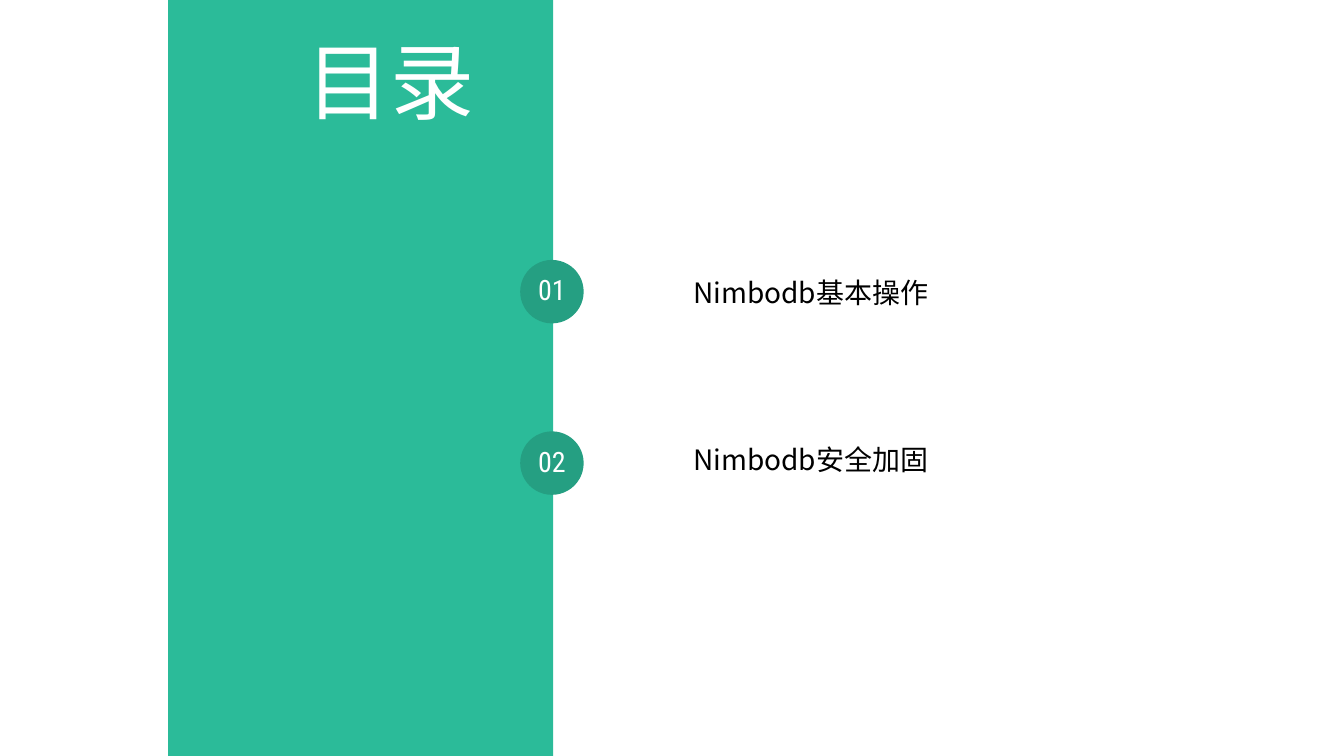
from lxml.etree import SubElement
from pptx import Presentation
from pptx.dml.color import RGBColor
from pptx.enum.shapes import MSO_SHAPE
from pptx.enum.text import MSO_ANCHOR, PP_ALIGN
from pptx.oxml.ns import qn
from pptx.util import Cm, Pt


def color(value):
    return RGBColor.from_string(value)


class SlideBuilder:
    """Draws styled elements on the current slide."""

    GREEN = "2BBB99"
    DARK_GREEN = "259F82"
    WHITE = "FFFFFF"
    BLACK = "000000"
    NUMBER_FONT = "Roboto Condensed"
    CHINESE_FONT = "Noto Sans CJK SC"

    def __init__(self, slide):
        self.slide = slide

    def shape(self, kind, left, top, width, height, fill):
        shape = self.slide.shapes.add_shape(
            kind, Cm(left), Cm(top), Cm(width), Cm(height))
        shape.shadow.inherit = False
        shape.fill.solid()
        shape.fill.fore_color.rgb = color(fill)
        shape.line.fill.background()
        return shape

    def set_text(self, shape, text, size, font, text_color,
                 align=PP_ALIGN.LEFT):
        frame = shape.text_frame
        frame.text = text
        frame.word_wrap = True
        frame.vertical_anchor = MSO_ANCHOR.MIDDLE
        paragraph = frame.paragraphs[0]
        paragraph.alignment = align
        paragraph.line_spacing = 0.9
        run = paragraph.runs[0]
        run.font.size = Pt(size)
        run.font.name = font
        run.font.color.rgb = color(text_color)
        east_asian = SubElement(run.font._element, qn("a:ea"))
        east_asian.set("typeface", self.CHINESE_FONT)

    def badge(self, number, left, top, diameter):
        badge = self.shape(
            MSO_SHAPE.OVAL, left, top, diameter, diameter, self.DARK_GREEN)
        frame = badge.text_frame
        frame.margin_left = frame.margin_right = 0
        frame.margin_top = frame.margin_bottom = 0
        self.set_text(badge, f"{number:02d}", 20, self.NUMBER_FONT,
                      self.WHITE, PP_ALIGN.CENTER)

    def label(self, text, left, top, width, height, size, font, text_color):
        box = self.slide.shapes.add_textbox(
            Cm(left), Cm(top), Cm(width), Cm(height))
        self.set_text(box, text, size, font, text_color)


presentation = Presentation()
presentation.slide_width = Cm(33.87)
presentation.slide_height = Cm(19.05)
builder = SlideBuilder(
    presentation.slides.add_slide(presentation.slide_layouts[6]))

builder.shape(MSO_SHAPE.RECTANGLE, 4.24, 0, 9.7, 19.05, builder.GREEN)
builder.label("目录", 7.47, 0.69, 4.83, 2.95, 60,
              builder.NUMBER_FONT, builder.WHITE)

chapters = [("Nimbodb基本操作", 6.55, 6.68), ("Nimbodb安全加固", 10.87, 10.87)]
for number, (chapter, badge_top, label_top) in enumerate(chapters, start=1):
    builder.badge(number, 13.11, badge_top, 1.6)
    builder.label(chapter, 17.22, label_top, 10.95, 1.5, 20,
                  builder.CHINESE_FONT, builder.BLACK)

presentation.save("out.pptx")
